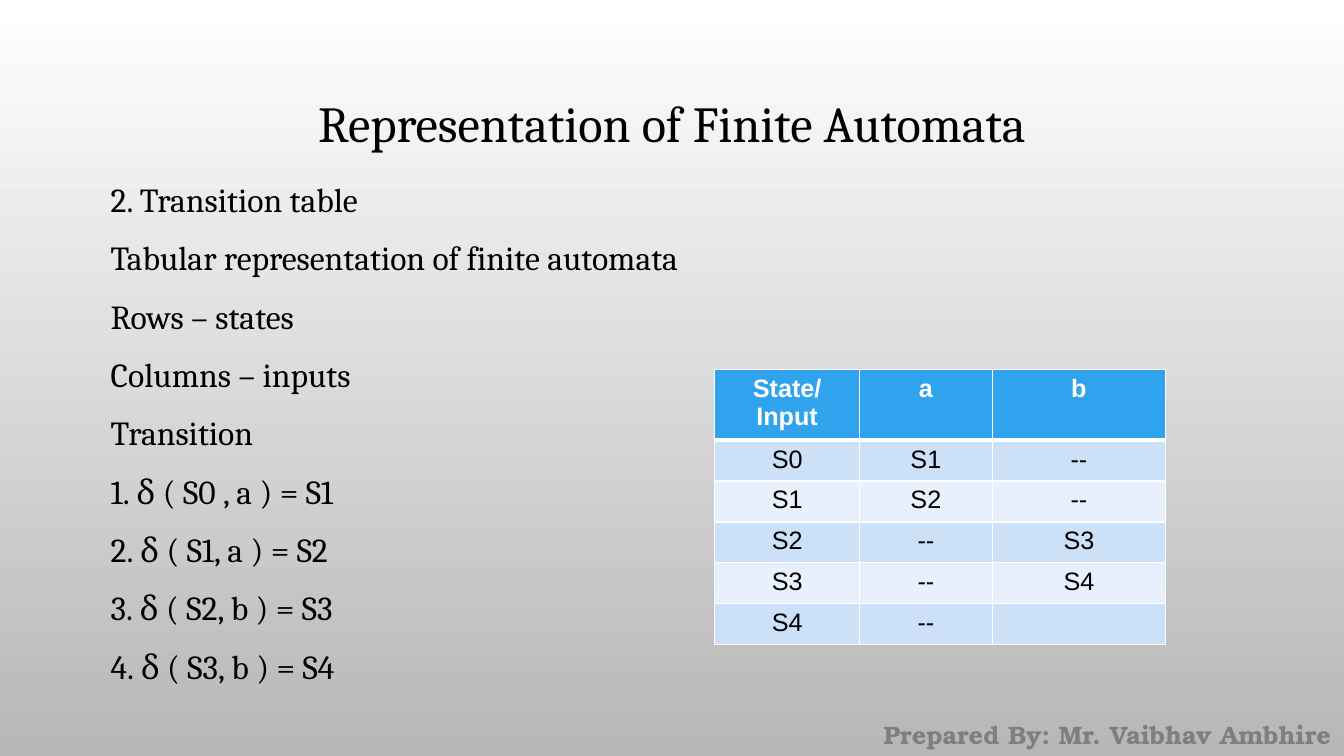
"""Build the slide on transition tables of finite automata."""
from lxml import etree
from pptx import Presentation
from pptx.dml.color import RGBColor
from pptx.enum.text import MSO_ANCHOR, PP_ALIGN
from pptx.oxml.ns import qn
from pptx.util import Pt

LEFT, CENTER = PP_ALIGN.LEFT, PP_ALIGN.CENTER
TOP, MIDDLE = MSO_ANCHOR.TOP, MSO_ANCHOR.MIDDLE

TITLE = "Representation of Finite Automata"
BODY = [
    "2. Transition table",
    "Tabular representation of finite automata",
    "Rows – states",
    "Columns – inputs",
    "Transition",
    "1. δ ( S0 , a ) = S1",
    "2. δ ( S1, a ) = S2",
    "3. δ ( S2, b ) = S3",
    "4. δ ( S3, b ) = S4",
]
CREDIT = "Prepared By: Mr. Vaibhav Ambhire"
TRANSITIONS = [
    ("State/ Input", "a", "b"),
    ("S0", "S1", "--"),
    ("S1", "S2", "--"),
    ("S2", "--", "S3"),
    ("S3", "--", "S4"),
    ("S4", "--", ""),
]
COL_WIDTHS = (103.6, 94.6, 124)
ROW_HEIGHT = 29.2
TABLE_LEFT, TABLE_TOP = 510.5, 264
BACKGROUND = ("FFFFFF", "B7B7B7")
HEADER, BANDS = "2FA3EE", ("CCE0F8", "E7F0FC")


def rgb(value):
    return RGBColor.from_string(value)


def write(tf, lines, size=18, font="Arial", color="000000", bold=False,
          align=LEFT, spacing=1.0, before=0):
    for i, line in enumerate(lines):
        p = tf.add_paragraph() if i else tf.paragraphs[0]
        p.alignment, p.line_spacing = align, spacing
        p.space_before = Pt(before if i else 0)
        r = p.add_run()
        r.text = line
        r.font.size, r.font.name, r.font.bold = Pt(size), font, bold
        r.font.color.rgb = rgb(color)


def add_text(s, box, lines, anchor=TOP, **fmt):
    tf = s.shapes.add_textbox(*map(Pt, box)).text_frame
    tf.word_wrap, tf.vertical_anchor = True, anchor
    write(tf, lines, **fmt)


def add_borders(cell, bottom):
    tcPr = cell._tc.get_or_add_tcPr()
    for side, width in (("L", 1), ("R", 1), ("T", 1), ("B", bottom)):
        ln = etree.SubElement(tcPr, qn("a:ln" + side), w=str(Pt(width)))
        fill = etree.SubElement(ln, qn("a:solidFill"))
        etree.SubElement(fill, qn("a:srgbClr"), val="FFFFFF")


def add_transition_table(s):
    rows, cols = len(TRANSITIONS), len(COL_WIDTHS)
    box = (TABLE_LEFT, TABLE_TOP, sum(COL_WIDTHS), rows * ROW_HEIGHT)
    table = s.shapes.add_table(rows, cols, *map(Pt, box)).table
    for col, width in zip(table.columns, COL_WIDTHS):
        col.width = Pt(width)
    for i, values in enumerate(TRANSITIONS):
        head = i == 0
        table.rows[i].height = Pt(ROW_HEIGHT)
        for j, value in enumerate(values):
            cell = table.cell(i, j)
            add_borders(cell, 3 if head else 1)
            cell.fill.solid()
            cell.fill.fore_color.rgb = rgb(HEADER if head else BANDS[(i - 1) % 2])
            if value:
                write(cell.text_frame, [value], bold=head, align=CENTER,
                      color="FFFFFF" if head else "000000")


def main():
    prs = Presentation()
    prs.slide_width, prs.slide_height = Pt(960), Pt(540)
    s = prs.slides.add_slide(prs.slide_layouts[6])
    fill = s.background.fill
    fill.gradient()
    fill.gradient_angle = 270
    for stop, color in zip(fill.gradient_stops, BACKGROUND):
        stop.color.rgb = rgb(color)
    add_text(s, (622, 510.5, 338, 29), [CREDIT], font="TeX Gyre Bonum",
             color="7F7F7F", bold=True, align=CENTER)
    add_text(s, (72, 49, 816, 83), [TITLE], anchor=MIDDLE, size=36,
             font="Cambria", align=CENTER, spacing=0.9)
    add_text(s, (72, 121.5, 816, 387.5), BODY, size=24, font="Cambria",
             spacing=1.1, before=10)
    add_transition_table(s)
    prs.save("out.pptx")


if __name__ == "__main__":
    main()
